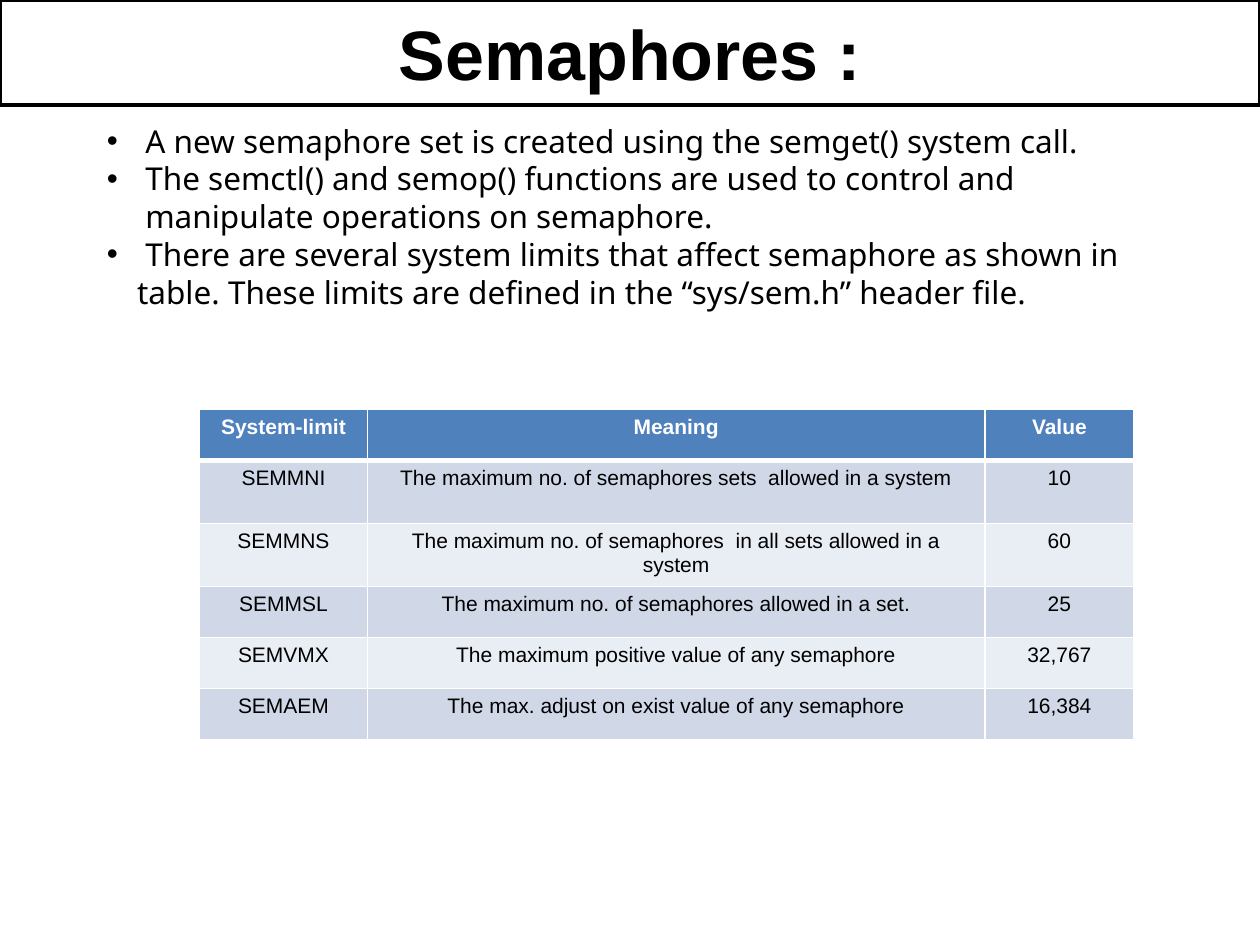
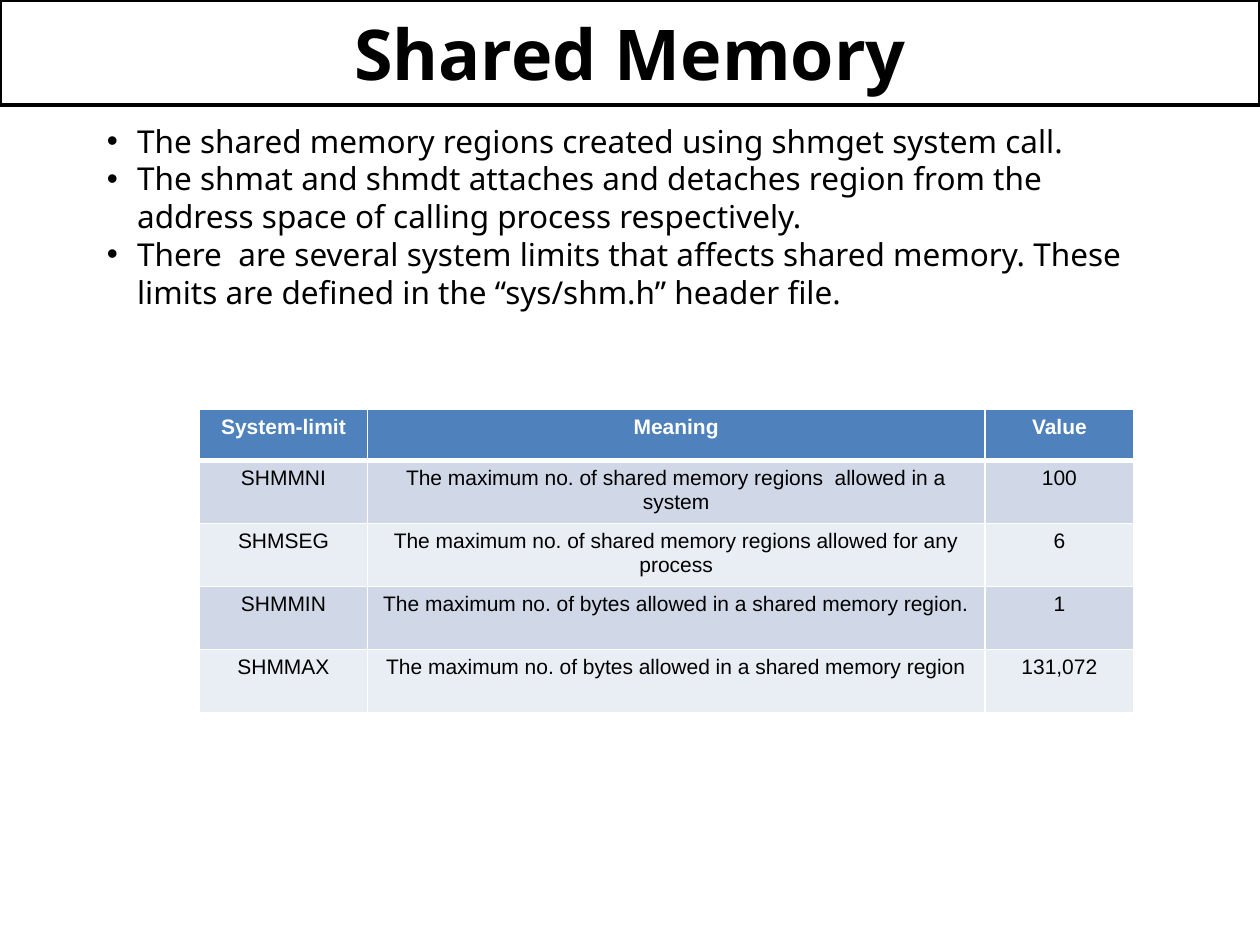
from pptx import Presentation
from pptx.dml.color import RGBColor
from pptx.enum.text import MSO_ANCHOR, MSO_AUTO_SIZE, PP_ALIGN
from pptx.oxml.ns import qn
from pptx.util import Inches, Pt
from lxml.etree import SubElement

COLUMNS, ROWS = 120, 90
BLACK, WHITE, HEADER = "000000", "FFFFFF", "4F81BD"
BANDS = ("D0D8E8", "E9EDF4")
LIMIT_COLUMNS = (16, 58.8, 14.2)
SHORT_ROW, TALL_ROW = 4.86, 6


def color(value):
    return RGBColor.from_string(value)


class Deck:
    def __init__(self):
        self.presentation = Presentation()
        self.presentation.slide_width = Inches(10)
        self.presentation.slide_height = Inches(7.5)
        self.slide = None

    def x(self, columns):
        return round(self.presentation.slide_width * columns / COLUMNS)

    def y(self, rows):
        return round(self.presentation.slide_height * rows / ROWS)

    def place(self, item, left, top, width, height):
        item.left, item.top = self.x(left), self.y(top)
        item.width, item.height = self.x(width), self.y(height)

    def style(self, paragraph, size, font, ink=BLACK, bold=False, align=PP_ALIGN.CENTER):
        paragraph.alignment = align
        paragraph.font.size = Pt(size)
        paragraph.font.name = font
        paragraph.font.bold = bold
        paragraph.font.color.rgb = color(ink)

    def add_slide(self):
        self.slide = self.presentation.slides.add_slide(self.presentation.slide_layouts[5])

    def title(self, text, font):
        band = self.slide.shapes.title
        self.place(band, 0, 0, COLUMNS, 10)
        band.fill.solid()
        band.fill.fore_color.rgb = color(WHITE)
        band.line.color.rgb = color(BLACK)
        band.line.width = Pt(2)
        frame = band.text_frame
        frame.text = text
        frame.auto_size = MSO_AUTO_SIZE.NONE
        frame.vertical_anchor = MSO_ANCHOR.MIDDLE
        self.style(frame.paragraphs[0], 40, font, bold=True)

    def bullets(self, points):
        box = self.slide.shapes.add_textbox(self.x(9), self.y(11), self.x(102), self.y(19.5))
        frame = box.text_frame
        frame.word_wrap = True
        for index, point in enumerate(points):
            paragraph = frame.add_paragraph() if index else frame.paragraphs[0]
            paragraph.text = point
            properties = paragraph._p.get_or_add_pPr()
            properties.set("marL", str(Inches(0.24)))
            properties.set("indent", str(-Inches(0.24)))
            SubElement(properties, qn("a:buFont"), typeface="Arial")
            SubElement(properties, qn("a:buChar"), char="•")
            paragraph.line_spacing = Pt(21.6)
            self.style(paragraph, 18, "Noto Sans", align=PP_ALIGN.LEFT)

    def border(self, cell, side, width):
        line = SubElement(cell._tc.get_or_add_tcPr(), qn(f"a:ln{side}"), w=str(Pt(width)))
        fill = SubElement(line, qn("a:solidFill"))
        SubElement(fill, qn("a:srgbClr"), val=WHITE)

    def limits(self, limits, tall_rows):
        heights = [SHORT_ROW] + [TALL_ROW] * tall_rows + [SHORT_ROW] * (len(limits) - tall_rows)
        rows = [("System-limit", "Meaning", "Value"), *limits]
        table = self.slide.shapes.add_table(
            len(rows), len(LIMIT_COLUMNS), self.x(19), self.y(39),
            self.x(sum(LIMIT_COLUMNS)), self.y(sum(heights))).table
        for column, width in zip(table.columns, LIMIT_COLUMNS):
            column.width = self.x(width)
        for index, (values, height) in enumerate(zip(rows, heights)):
            table.rows[index].height = self.y(height)
            for column, value in enumerate(values):
                self.limit_cell(table.cell(index, column), value, index)

    def limit_cell(self, cell, value, row):
        heading = row == 0
        cell.text = value
        for side in "LRTB":
            thick = (heading and side == "B") or (row == 1 and side == "T")
            self.border(cell, side, 3 if thick else 1)
        cell.fill.solid()
        cell.fill.fore_color.rgb = color(HEADER if heading else BANDS[(row - 1) % 2])
        self.style(cell.text_frame.paragraphs[0], 12, "Arial",
                   WHITE if heading else BLACK, heading)

    def save(self):
        self.presentation.save("out.pptx")


def main():
    deck = Deck()

    deck.add_slide()
    deck.title("Semaphores :", "Arial")
    deck.bullets([
        " A new semaphore set is created using the semget() system call.",
        " The semctl() and semop() functions are used to control and\v manipulate operations on semaphore.",
        " There are several system limits that affect semaphore as shown in table. "
        "These limits are defined in the “sys/sem.h” header file.",
    ])
    deck.limits([
        ("SEMMNI", "The maximum no. of semaphores sets  allowed in a system", "10"),
        ("SEMMNS", "The maximum no. of semaphores  in all sets allowed in a system", "60"),
        ("SEMMSL", "The maximum no. of semaphores allowed in a set.", "25"),
        ("SEMVMX", "The maximum positive value of any semaphore", "32,767"),
        ("SEMAEM", "The max. adjust on exist value of any semaphore", "16,384"),
    ], tall_rows=2)

    deck.add_slide()
    deck.title("Shared Memory", "Noto Sans")
    deck.bullets([
        "The shared memory regions created using shmget system call.",
        "The shmat and shmdt attaches and detaches region from the "
        "address space of calling process respectively.",
        "There  are several system limits that affects shared memory. "
        "These limits are defined in the “sys/shm.h” header file.",
    ])
    deck.limits([
        ("SHMMNI", "The maximum no. of shared memory regions  allowed in a system", "100"),
        ("SHMSEG", "The maximum no. of shared memory regions allowed for any process", "6"),
        ("SHMMIN", "The maximum no. of bytes allowed in a shared memory region.", "1"),
        ("SHMMAX", "The maximum no. of bytes allowed in a shared memory region", "131,072"),
    ], tall_rows=4)

    deck.save()


if __name__ == "__main__":
    main()
